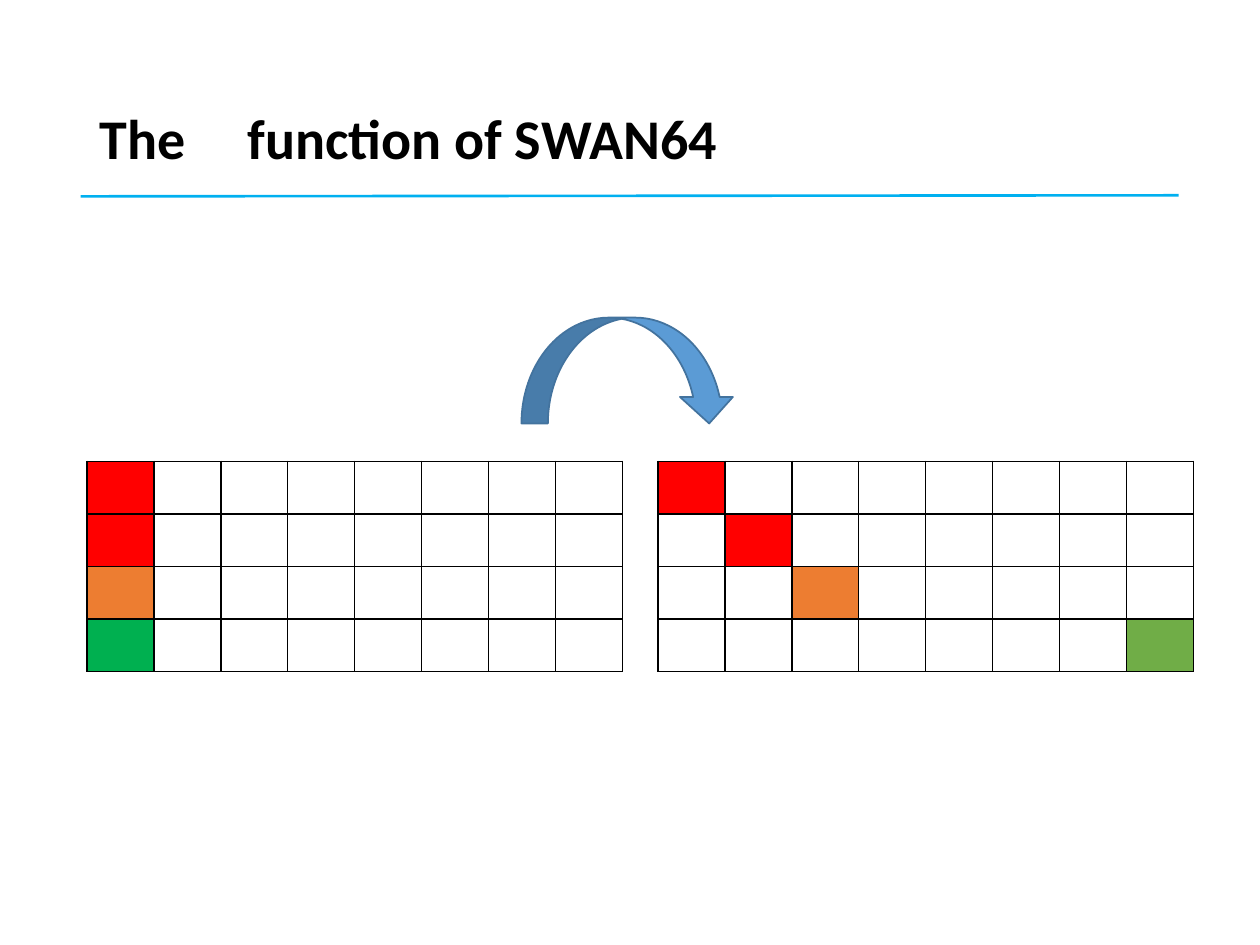
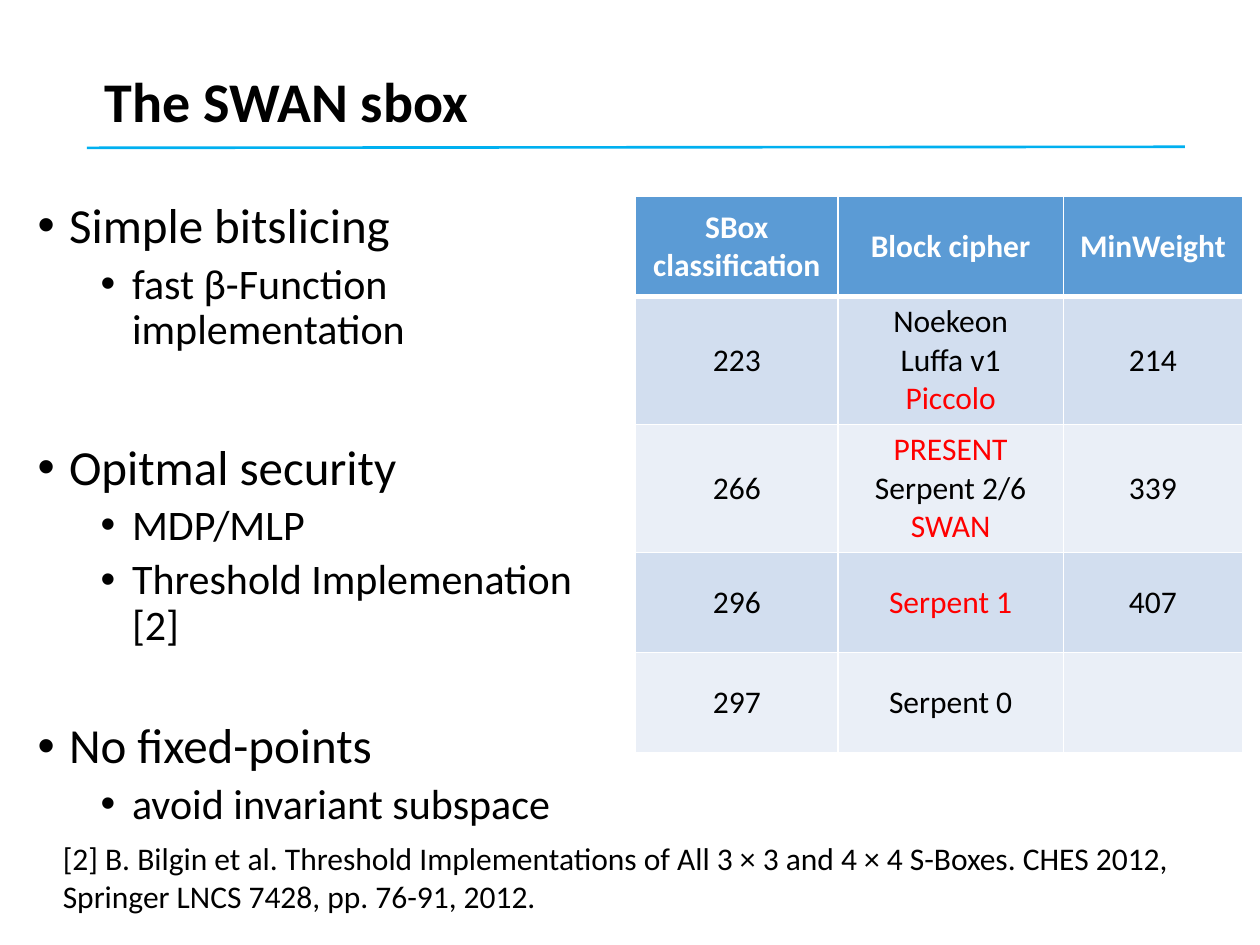
from dataclasses import dataclass

from lxml import etree
from pptx import Presentation
from pptx.dml.color import RGBColor
from pptx.enum.shapes import MSO_CONNECTOR, MSO_SHAPE
from pptx.enum.text import MSO_ANCHOR, PP_ALIGN
from pptx.oxml.ns import qn
from pptx.util import Pt

STRAIGHT = MSO_CONNECTOR.STRAIGHT
CURVED_ARROW = MSO_SHAPE.CURVED_DOWN_ARROW
MIDDLE = MSO_ANCHOR.MIDDLE
CENTER = PP_ALIGN.CENTER


@dataclass(frozen=True)
class Theme:
    font: str = "Calibri"
    black: str = "000000"
    white: str = "FFFFFF"
    red: str = "FF0000"
    orange: str = "ED7D31"
    green: str = "00B050"
    light_green: str = "70AD47"
    blue: str = "5B9BD5"
    dark_blue: str = "43739E"
    rule: str = "00B0F0"
    bands: tuple = ("D2DEEF", "EAEFF7")
    title_size: int = 32
    level_sizes: tuple = (28, 24)
    small_size: int = 18


THEME = Theme()

GRID_ROWS, GRID_COLUMNS = 4, 8
COLUMN_START = {(0, 0): THEME.red, (1, 0): THEME.red,
                (2, 0): THEME.orange, (3, 0): THEME.green}
SHIFTED = {(0, 0): THEME.red, (1, 1): THEME.red,
           (2, 2): THEME.orange, (3, 7): THEME.light_green}

# Level, text, space before
POINTS = [
    (0, "Simple bitslicing", 0),
    (1, "fast β-Function implementation", 5),
    (0, "Opitmal security", 50.8),
    (1, "MDP/MLP", 5),
    (1, "Threshold Implemenation [2]", 5),
    (0, "No fixed-points", 41.4),
    (1, "avoid invariant subspace", 5),
]

SBOX_ROWS = [
    ("SBox\nclassification", "Block cipher", "MinWeight"),
    ("223", "Noekeon\nLuffa v1\nPiccolo", "214"),
    ("266", "PRESENT\nSerpent 2/6\nSWAN", "339"),
    ("296", "Serpent 1", "407"),
    ("297", "Serpent 0", ""),
]
RED_CIPHERS = {"Piccolo", "PRESENT", "SWAN", "Serpent 1"}

REFERENCE = ("[2] B. Bilgin et al. Threshold Implementations of All 3 × 3 and 4 × 4 "
             "S-Boxes. CHES 2012, Springer LNCS 7428, pp. 76-91, 2012.")


def rgb(color):
    return RGBColor.from_string(color)


def style_text(para, size, color=THEME.black, bold=False):
    for span in para.runs:
        span.font.name = THEME.font
        span.font.size = Pt(size)
        span.font.bold = bold
        span.font.color.rgb = rgb(color)


def add_text_box(page, left, top, width, height):
    box = page.shapes.add_textbox(Pt(left), Pt(top), Pt(width), Pt(height))
    box.text_frame.word_wrap = True
    return box.text_frame


def add_title(page, text, left, top, rule_left, rule_top, tab=None):
    """Title box with a thin rule; rule offsets count from the box corner."""
    frame = add_text_box(page, left, top, 620.6, 104.4)
    frame.vertical_anchor = MIDDLE
    frame.text = text
    para = frame.paragraphs[0]
    para.line_spacing = 0.9
    if tab:
        stops = etree.SubElement(para._p.get_or_add_pPr(), qn("a:tabLst"))
        etree.SubElement(stops, qn("a:tab"), pos=str(Pt(tab)), algn="l")
    style_text(para, THEME.title_size, bold=True)

    start, height = left + rule_left, top + rule_top
    rule = page.shapes.add_connector(
        STRAIGHT, Pt(start), Pt(height), Pt(start + 627.4), Pt(height - 0.6))
    rule.line.color.rgb = rgb(THEME.rule)
    rule.line.width = Pt(1.5)
    etree.SubElement(rule._element.spPr, qn("a:effectLst"))


def add_plain_table(page, left, top, widths, heights):
    frame = page.shapes.add_table(len(heights), len(widths), Pt(left), Pt(top),
                                  Pt(sum(widths)), Pt(sum(heights)))
    table = frame.table
    table.first_row = table.horz_banding = False
    for column, width in zip(table.columns, widths):
        column.width = Pt(width)
    for row, height in zip(table.rows, heights):
        row.height = Pt(height)
    return table


def paint_cell(cell, fill, border, **edge_widths):
    """Fill a cell and draw its four borders, 1 pt unless given."""
    if fill:
        cell.fill.solid()
        cell.fill.fore_color.rgb = rgb(fill)
    else:
        cell.fill.background()
    properties = cell._tc.get_or_add_tcPr()
    for index, side in enumerate("LRTB"):
        edge = etree.Element(qn(f"a:ln{side}"), w=str(Pt(edge_widths.get(side, 1))))
        paint = etree.SubElement(edge, qn("a:solidFill"))
        etree.SubElement(paint, qn("a:srgbClr"), val=border)
        properties.insert(index, edge)


def add_state_grid(page, left, top, marks):
    table = add_plain_table(page, left, top,
                            [38.25] * GRID_COLUMNS, [30.06] * GRID_ROWS)
    for row in range(GRID_ROWS):
        for column in range(GRID_COLUMNS):
            paint_cell(table.cell(row, column), marks.get((row, column)), THEME.black)


def add_shift_arrow(page, left, top, width, height):
    arrow = page.shapes.add_shape(CURVED_ARROW, Pt(left), Pt(top), Pt(width), Pt(height))
    arrow.shadow.inherit = False
    arrow.fill.solid()
    arrow.fill.fore_color.rgb = rgb(THEME.blue)
    arrow.line.color.rgb = rgb(THEME.dark_blue)
    arrow.line.width = Pt(1)


def add_points(page, left, top, width, height):
    frame = add_text_box(page, left, top, width, height)
    frame.text = "\n".join(text for _, text, _ in POINTS)
    for para, (level, _, space) in zip(frame.paragraphs, POINTS):
        para.level = level
        para.line_spacing = 0.9
        para.space_before = Pt(space)
        properties = para._p.get_or_add_pPr()
        properties.set("marL", str(Pt(18 + 36 * level)))
        properties.set("indent", str(Pt(-18)))
        etree.SubElement(properties, qn("a:buFont"), typeface="Arial")
        etree.SubElement(properties, qn("a:buChar"), char="•")
        style_text(para, THEME.level_sizes[level])


def add_sbox_table(page, left, top):
    table = add_plain_table(page, left, top, [115.7, 128.7, 102.5],
                            [57, 73.2, 73.2, 57.2, 57.2])
    for row, texts in enumerate(SBOX_ROWS):
        header = row == 0
        for column, text in enumerate(texts):
            cell = table.cell(row, column)
            cell.vertical_anchor = MIDDLE
            cell.text_frame.text = text
            for para in cell.text_frame.paragraphs:
                para.alignment = CENTER
                color = THEME.red if para.text in RED_CIPHERS else THEME.black
                style_text(para, THEME.small_size,
                           THEME.white if header else color, header)
            # The thick line under the header is shared by both rows
            edges = {"B": 3} if header else {"T": 3} if row == 1 else {}
            fill = THEME.blue if header else THEME.bands[(row - 1) % 2]
            paint_cell(cell, fill, THEME.white, **edges)


def add_reference(page, left, top, width, height):
    frame = add_text_box(page, left, top, width, height)
    frame.text = REFERENCE
    style_text(frame.paragraphs[0], THEME.small_size)


def build_function_page(page):
    add_title(page, "The\tfunction of SWAN64", 49.7, 28.8, -3.6, 83.4, tab=84.8)
    # State before and after the shift
    for left, marks in ((49.7, COLUMN_START), (376, SHIFTED)):
        add_state_grid(page, left, 263.6, marks)
    add_shift_arrow(page, 298, 181.5, 122.4, 60.5)


def build_sbox_page(page):
    add_title(page, "The SWAN sbox", 52.6, 7.2, -2.9, 77.3)
    add_points(page, 14.4, 111.6, 345.6, 342.7)
    add_sbox_table(page, 363.2, 112.4)
    add_reference(page, 28.8, 476, 651.6, 51)


def main():
    deck = Presentation()
    deck.slide_width, deck.slide_height = Pt(720), Pt(540)
    for build in (build_function_page, build_sbox_page):
        build(deck.slides.add_slide(deck.slide_layouts[6]))
    deck.save("out.pptx")


if __name__ == "__main__":
    main()
